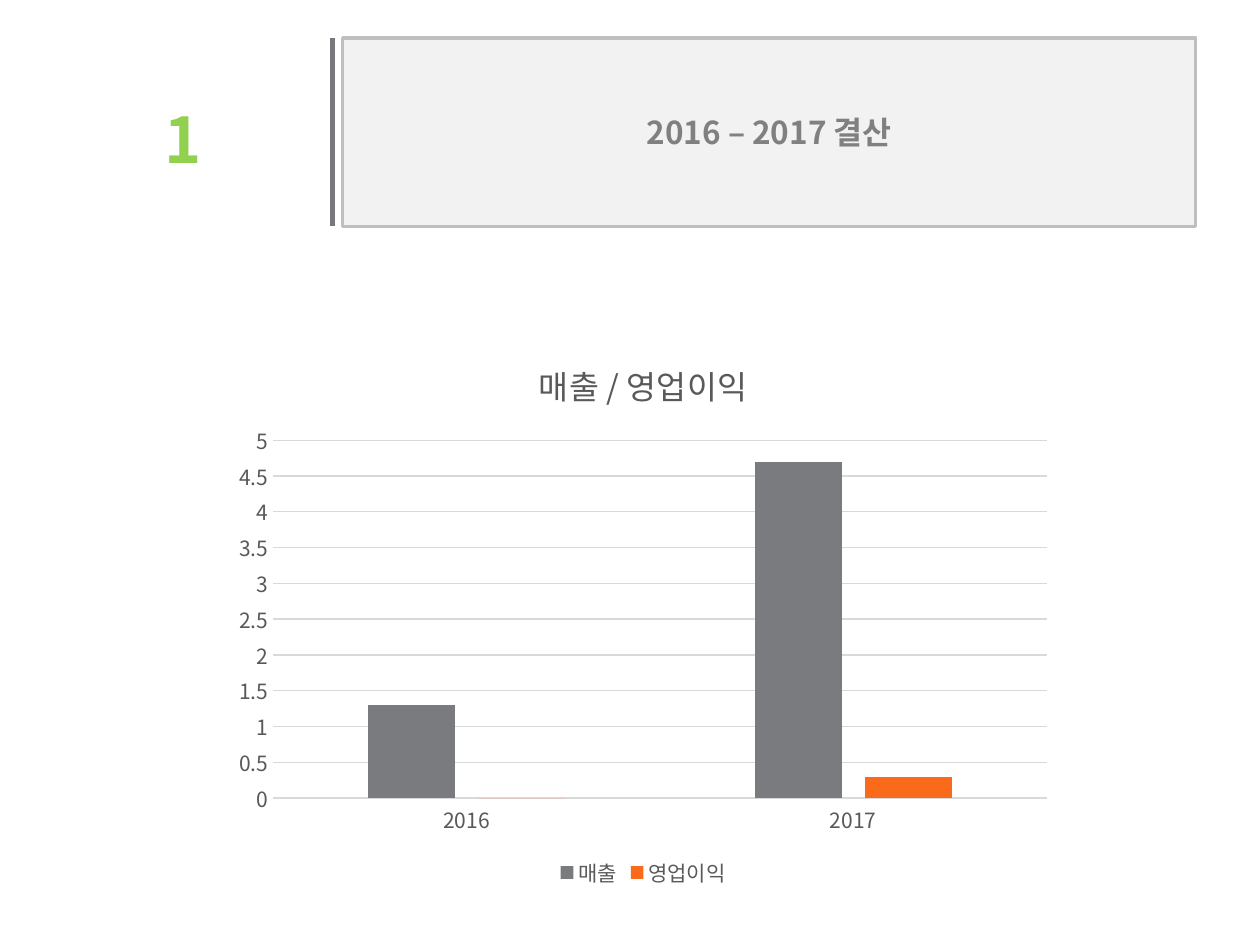
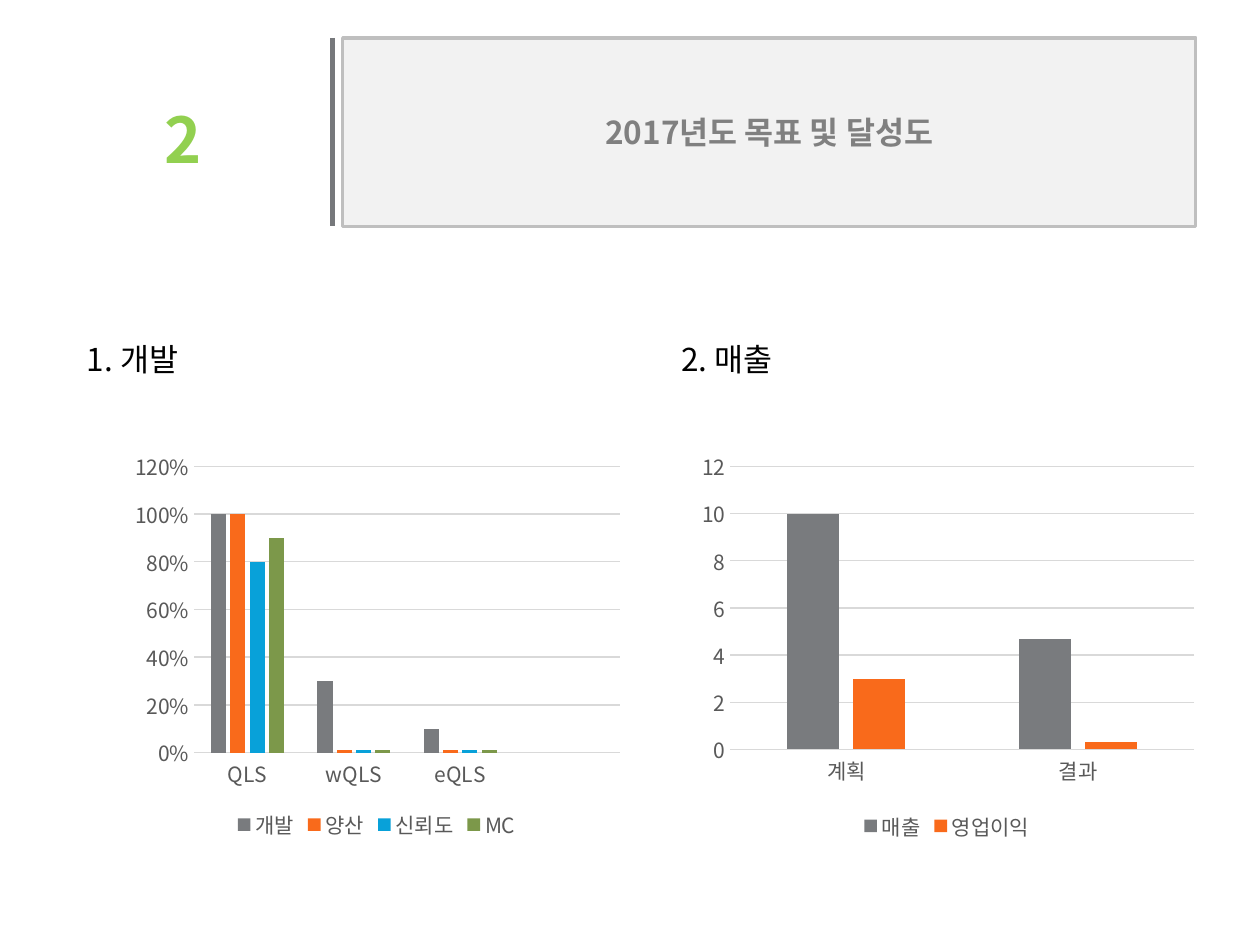
from lxml import etree
from pptx import Presentation
from pptx.chart.data import CategoryChartData
from pptx.dml.color import RGBColor
from pptx.enum.chart import XL_CHART_TYPE, XL_LEGEND_POSITION, XL_TICK_MARK
from pptx.enum.shapes import MSO_CONNECTOR, MSO_SHAPE
from pptx.enum.text import MSO_ANCHOR, MSO_AUTO_SIZE, PP_ALIGN
from pptx.oxml.ns import qn
from pptx.util import Inches, Pt

COLUMN = XL_CHART_TYPE.COLUMN_CLUSTERED
BOTTOM = XL_LEGEND_POSITION.BOTTOM
NO_TICK = XL_TICK_MARK.NONE
STRAIGHT = MSO_CONNECTOR.STRAIGHT
RECT = MSO_SHAPE.RECTANGLE
MIDDLE = MSO_ANCHOR.MIDDLE
GROW = MSO_AUTO_SIZE.SHAPE_TO_FIT_TEXT
LEFT, CENTER = PP_ALIGN.LEFT, PP_ALIGN.CENTER

FONT = "Noto Sans CJK KR"
GREEN = RGBColor(0x92, 0xD0, 0x50)
BAR = RGBColor(0x76, 0x78, 0x7B)
PANEL = RGBColor(0xF2, 0xF2, 0xF2)
EDGE = RGBColor(0xBF, 0xBF, 0xBF)
GRAY = RGBColor(0x80, 0x80, 0x80)
BLACK = RGBColor(0, 0, 0)
LABEL = RGBColor(0x59, 0x59, 0x59)
GRID = RGBColor(0xD9, 0xD9, 0xD9)
SERIES = [
    RGBColor(0x79, 0x7B, 0x7E),
    RGBColor(0xF9, 0x6A, 0x1B),
    RGBColor(0x08, 0xA1, 0xD9),
    RGBColor(0x7C, 0x98, 0x4A),
]


def write(frame, text, size, color, bold=False, align=CENTER):
    frame.text = text
    for para in frame.paragraphs:
        para.alignment = align
        for run in para.runs:
            run.font.name = FONT
            run.font.size = Pt(size)
            run.font.bold = bold
            run.font.color.rgb = color


def add_columns(slide, box, plot_box, cats, rows, form="General", title=None):
    data = CategoryChartData(number_format=form)
    data.categories = cats
    for name, vals in rows.items():
        data.add_series(name, vals)
    chart = slide.shapes.add_chart(COLUMN, *map(Inches, box), data).chart
    chart.font.name = FONT
    chart.font.size = Pt(12)
    chart.font.color.rgb = LABEL

    # Title and legend
    chart.has_title = title is not None
    if title:
        write(chart.chart_title.text_frame, title, 18.6, LABEL)
    chart.has_legend = True
    chart.legend.position = BOTTOM
    chart.legend.include_in_layout = False

    # Axes and grid
    for axis in (chart.category_axis, chart.value_axis):
        axis.major_tick_mark = axis.minor_tick_mark = NO_TICK
    chart.category_axis.format.line.color.rgb = GRID
    chart.category_axis.format.line.width = Pt(0.75)
    value = chart.value_axis
    value.format.line.fill.background()
    value.tick_labels.number_format = form
    value.tick_labels.number_format_is_linked = False
    value.major_gridlines.format.line.color.rgb = GRID
    value.major_gridlines.format.line.width = Pt(0.75)

    # Columns
    plot = chart.plots[0]
    plot.gap_width = 219
    plot.overlap = -27
    plot.vary_by_categories = False
    for series, color in zip(plot.series, SERIES):
        series.format.fill.solid()
        series.format.fill.fore_color.rgb = color

    # Plot area, as fractions of the chart
    area = chart.element.find(".//" + qn("c:plotArea"))
    for old in area.findall(qn("c:layout")):
        area.remove(old)
    layout = etree.Element(qn("c:layout"))
    area.insert(0, layout)
    manual = etree.SubElement(layout, qn("c:manualLayout"))
    keys = ("layoutTarget", "xMode", "yMode", "x", "y", "w", "h")
    for key, val in zip(keys, ("inner", "edge", "edge", *plot_box)):
        etree.SubElement(manual, qn("c:" + key)).set("val", str(val))

    # Korean typeface for chart text
    for latin in list(chart.element.iter(qn("a:latin"))):
        latin.addnext(latin.makeelement(qn("a:ea"), {"typeface": FONT}))


deck = Presentation()
deck.slide_width = Inches(10)
deck.slide_height = Inches(7.5)

# Shared header: number, rule and title panel
slides = []
for num, head in enumerate(("2016 – 2017 결산", "2017년도 목표 및 달성도"), 1):
    slide = deck.slides.add_slide(deck.slide_layouts[6])
    slides.append(slide)
    shapes = slide.shapes

    box = shapes.add_textbox(Inches(0.5), Inches(0.3), Inches(1.9), Inches(1.48))
    frame = box.text_frame
    frame.word_wrap = True
    frame.vertical_anchor = MIDDLE
    frame.margin_top, frame.margin_bottom = Inches(0.11), 0
    write(frame, str(num), 36, GREEN, bold=True)

    rule = shapes.add_connector(
        STRAIGHT, Inches(2.64), Inches(0.3), Inches(2.64), Inches(1.79))
    rule.line.color.rgb = BAR
    rule.line.width = Pt(3)
    etree.SubElement(rule.element.spPr, qn("a:effectLst"))

    panel = shapes.add_shape(
        RECT, Inches(2.72), Inches(0.3), Inches(6.77), Inches(1.5))
    panel.shadow.inherit = False
    panel.fill.solid()
    panel.fill.fore_color.rgb = PANEL
    panel.line.color.rgb = EDGE
    panel.line.width = Pt(2)
    panel.text_frame.vertical_anchor = MIDDLE
    write(panel.text_frame, head, 18, GRAY, bold=True)

first, second = slides

# Slide 1: sales and operating profit
add_columns(
    first, (1.77, 2.65, 6.67, 4.44), (0.06, 0.19, 0.92, 0.64),
    ["2016", "2017"], {"매출": (1.3, 4.7), "영업이익": (0, 0.3)},
    title="매출 / 영업이익")

# Slide 2: section labels
for left, text in ((0.59, "1. 개발"), (5.31, "2. 매출")):
    box = second.shapes.add_textbox(
        Inches(left), Inches(2.65), Inches(1.08), Inches(0.4))
    box.text_frame.word_wrap = False
    box.text_frame.auto_size = GROW
    write(box.text_frame, text, 18, BLACK, align=LEFT)

# Slide 2: progress by product, with a free fourth slot
add_columns(
    second, (0.98, 3.51, 4.02, 3.2), (0.14, 0.06, 0.84, 0.71),
    ["QLS", "wQLS", "eQLS", ""],
    {
        "개발": (1, 0.3, 0.1, None),
        "양산": (1, 0.01, 0.01, None),
        "신뢰도": (0.8, 0.01, 0.01, None),
        "MC": (0.9, 0.01, 0.01, None),
    },
    form="0%")

# Slide 2: plan against result
add_columns(
    second, (5.47, 3.51, 4.09, 3.21), (0.08, 0.06, 0.9, 0.7),
    ["계획", "결과"], {"매출": (10, 4.7), "영업이익": (3, 0.3)})

# Korean typeface for slide text
for slide in slides:
    for latin in list(slide.element.iter(qn("a:latin"))):
        latin.addnext(latin.makeelement(qn("a:ea"), {"typeface": FONT}))

deck.save("out.pptx")
